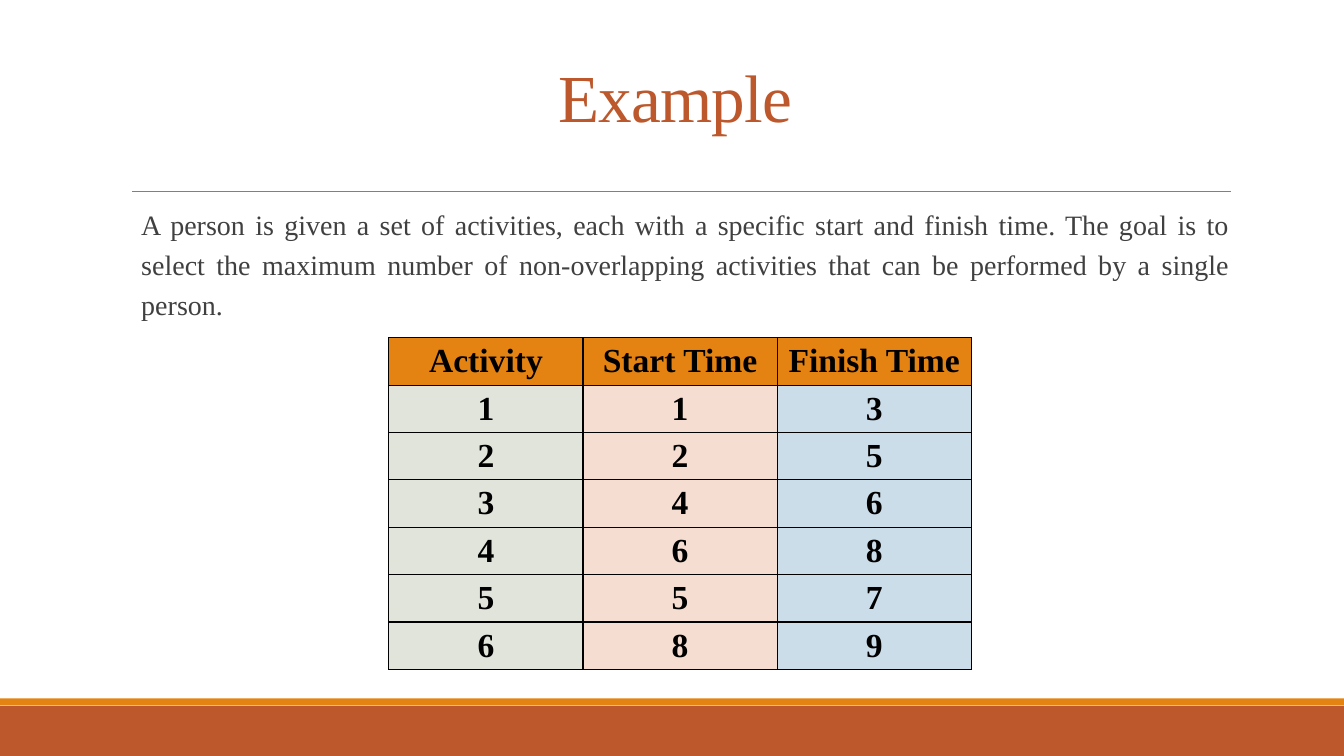
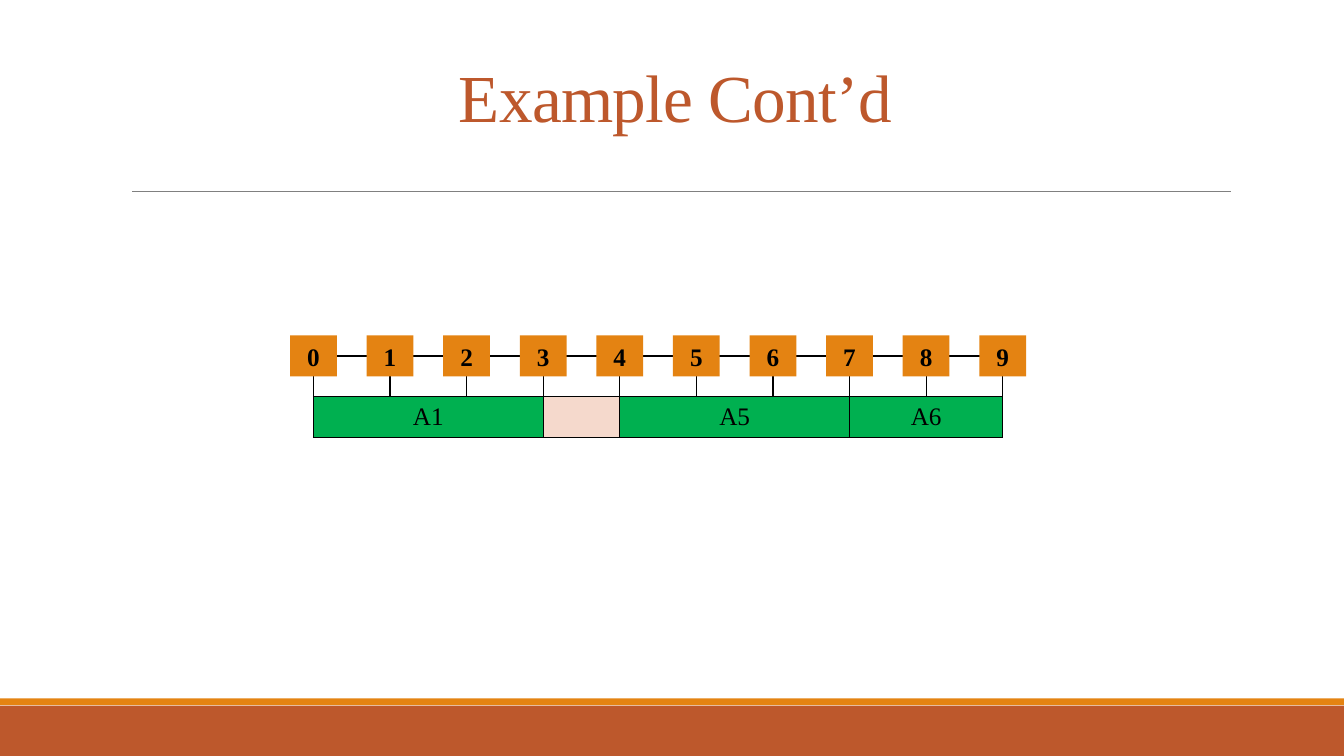
from dataclasses import dataclass

from lxml.etree import SubElement
from pptx import Presentation
from pptx.dml.color import RGBColor
from pptx.enum.shapes import MSO_CONNECTOR, MSO_SHAPE
from pptx.enum.text import MSO_ANCHOR, PP_ALIGN
from pptx.oxml.ns import qn
from pptx.util import Cm, Pt


@dataclass(frozen=True)
class Theme:
    font: str = "Times New Roman"
    # Colours
    rust: str = "BD582C"
    orange: str = "E48312"
    rule: str = "808080"
    body: str = "404040"
    ink: str = "000000"
    paper: str = "FFFFFF"
    sage: str = "E0E4DB"
    peach: str = "F5DDD2"
    sky: str = "CCDDEA"
    busy: str = "00B050"
    idle: str = "F5D9CC"
    # Type sizes
    title_size: int = 48
    table_size: int = 24
    body_size: int = 20
    label_size: int = 18


class Deck:
    def __init__(self, theme):
        self.theme = theme
        self.prs = Presentation()
        self.prs.slide_width, self.prs.slide_height = Cm(33.87), Cm(19.05)
        self.slide = None

    def new_slide(self, title):
        """Start a slide with the shared bands, rule and title."""
        t = self.theme
        self.slide = self.prs.slides.add_slide(self.prs.slide_layouts[6])
        self.box(0, 17.78, 33.87, 1.27, t.rust)
        self.box(0, 17.6, 33.87, 0.17, t.orange)
        self.line(3.33, 4.83, 31.01, 4.83, t.rule, 0.5)
        frame = self.text_frame(3.05, 1.27, 27.94, 2.29, MSO_ANCHOR.BOTTOM)
        run = self.add_text(frame, title, t.title_size, t.rust)
        run.font._element.set("spc", "-50")
        frame.paragraphs[0].line_spacing = 0.85

    def box(self, left, top, width, height, fill, label=None):
        shape = self.slide.shapes.add_shape(
            MSO_SHAPE.RECTANGLE, Cm(left), Cm(top), Cm(width), Cm(height))
        shape.shadow.inherit = False
        shape.fill.solid()
        shape.fill.fore_color.rgb = RGBColor.from_string(fill)
        shape.line.fill.background()
        if label:
            shape.text_frame.vertical_anchor = MSO_ANCHOR.MIDDLE
            self.add_text(shape.text_frame, label, self.theme.label_size, bold=True)

    def line(self, x1, y1, x2, y2, color, width):
        connector = self.slide.shapes.add_connector(
            MSO_CONNECTOR.STRAIGHT, Cm(x1), Cm(y1), Cm(x2), Cm(y2))
        connector.line.color.rgb = RGBColor.from_string(color)
        connector.line.width = Pt(width)
        SubElement(connector._element.spPr, qn("a:effectLst"))

    def text_frame(self, left, top, width, height, anchor):
        frame = self.slide.shapes.add_textbox(
            Cm(left), Cm(top), Cm(width), Cm(height)).text_frame
        frame.word_wrap = True
        frame.vertical_anchor = anchor
        return frame

    def add_text(self, frame, text, size, color=None, bold=False,
                 align=PP_ALIGN.CENTER):
        paragraph = frame.paragraphs[0]
        paragraph.alignment = align
        run = paragraph.add_run()
        run.text = text
        run.font.name = self.theme.font
        run.font.size = Pt(size)
        run.font.bold = bold
        run.font.color.rgb = RGBColor.from_string(color or self.theme.ink)
        return run

    def body(self, text):
        frame = self.text_frame(3.05, 4.93, 27.94, 12.45, MSO_ANCHOR.TOP)
        frame.margin_left, frame.margin_right = Cm(0.51), 0
        self.add_text(frame, text, self.theme.body_size, self.theme.body,
                      align=PP_ALIGN.JUSTIFY)
        frame.paragraphs[0].line_spacing = 1.2
        frame.paragraphs[0].space_after = Pt(2)

    def table(self, left, top, width, height, fills):
        """Add a bordered table with one cell per entry in the fill grid."""
        table = self.slide.shapes.add_table(
            len(fills), len(fills[0]),
            Cm(left), Cm(top), Cm(width), Cm(height)).table
        table.first_row = table.horz_banding = False
        for r, row in enumerate(fills):
            for c, fill in enumerate(row):
                cell = table.cell(r, c)
                cell.vertical_anchor = MSO_ANCHOR.MIDDLE
                self.border(cell)
                cell.fill.solid()
                cell.fill.fore_color.rgb = RGBColor.from_string(fill)
        return table

    def border(self, cell):
        properties = cell._tc.get_or_add_tcPr()
        for side in ("a:lnL", "a:lnR", "a:lnT", "a:lnB"):
            edge = SubElement(properties, qn(side), w=str(Pt(1)))
            paint = SubElement(edge, qn("a:solidFill"))
            SubElement(paint, qn("a:srgbClr"), val=self.theme.ink)


def activity_slide(deck):
    t = deck.theme
    deck.new_slide("Example")
    deck.body("A person is given a set of activities, each with a specific "
              "start and finish time. The goal is to select the maximum number "
              "of non-overlapping activities that can be performed by a single "
              "person.")
    # Activities with their start and finish times
    header = ("Activity", "Start Time", "Finish Time")
    activities = [(1, 1, 3), (2, 2, 5), (3, 4, 6), (4, 6, 8), (5, 5, 7), (6, 8, 9)]
    fills = [[t.orange] * 3] + [[t.sage, t.peach, t.sky] for _ in activities]
    schedule = deck.table(9.8, 8.51, 14.68, 8.36, fills)
    for r, values in enumerate([header, *activities]):
        for c, value in enumerate(values):
            cell = schedule.cell(r, c)
            cell.margin_left = cell.margin_right = Cm(0.08)
            cell.margin_top = cell.margin_bottom = Cm(0.05)
            deck.add_text(cell.text_frame, str(value), t.table_size, bold=True)


def timeline_slide(deck):
    t = deck.theme
    deck.new_slide("Example Cont’d")
    hours, hour_width, row_height = 9, 1.93, 1.03
    left, top = 7.9, 8.97
    # Selected activities as merged bars below the time axis
    timeline = deck.table(left, top, hours * hour_width, 2 * row_height,
                          [[t.paper] * hours, [t.idle] * hours])
    for activity, start, finish in (("A1", 0, 3), ("A5", 4, 7), ("A6", 7, 9)):
        bar = timeline.cell(1, start)
        bar.merge(timeline.cell(1, finish - 1))
        bar.fill.fore_color.rgb = RGBColor.from_string(t.busy)
        deck.add_text(bar.text_frame, activity, t.label_size)
    # Hour marks centred on the column edges
    mark_width = 1.18
    for hour in range(hours + 1):
        deck.box(left + hour * hour_width - mark_width / 2, top - row_height / 2,
                 mark_width, row_height, t.orange, str(hour))


def main():
    deck = Deck(Theme())
    activity_slide(deck)
    timeline_slide(deck)
    deck.prs.save("out.pptx")


if __name__ == "__main__":
    main()
